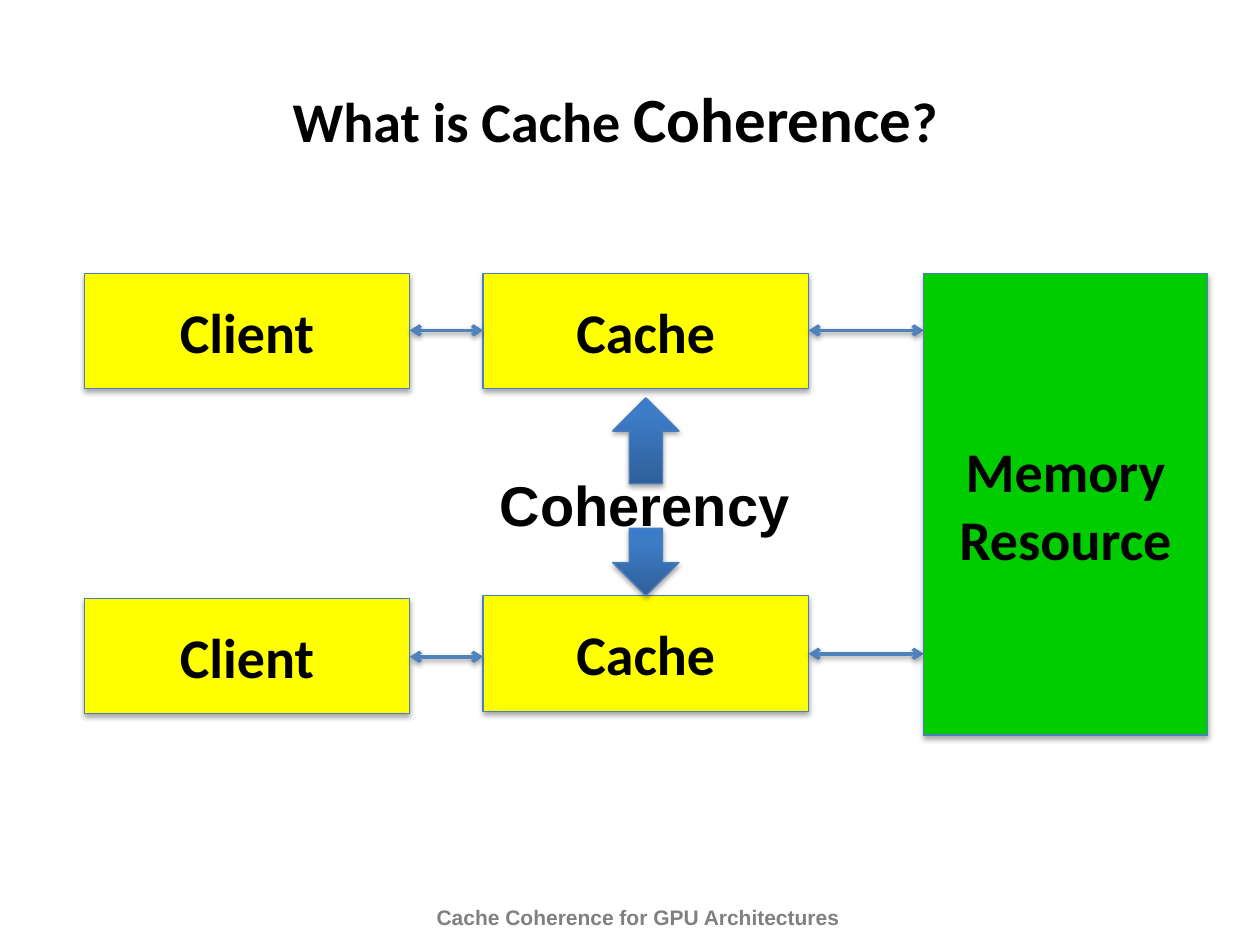
"""Build the cache coherence slide: clients, caches and a shared memory resource."""
import copy

import pptx
import pptx.dml.color
import pptx.enum.shapes
import pptx.enum.text
import pptx.oxml
import pptx.oxml.ns
import pptx.util
from pptx.util import Cm

SHAPES = pptx.enum.shapes.MSO_SHAPE
CENTER = pptx.enum.text.PP_ALIGN.CENTER
LEFT = pptx.enum.text.PP_ALIGN.LEFT
BOX_WIDTH, BOX_HEIGHT = 6.56, 2.33
CLIENT_LEFT, CACHE_LEFT, MEMORY_LEFT = 1.7, 9.74, 18.62
TOP_ROW = 5.51
OUTLINE = "4B7EBC"


def color(hex_value):
    return pptx.dml.color.RGBColor.from_string(hex_value)


def add_shadow(shape, opacity, distance):
    properties = shape._element.spPr
    properties.append(pptx.oxml.parse_xml(
        f'<a:effectLst {pptx.oxml.ns.nsdecls("a")}>'
        f'<a:outerShdw blurRad="{pptx.util.Pt(3.1)}" dist="{pptx.util.Pt(distance)}" '
        'dir="5400000" rotWithShape="0"><a:srgbClr val="000000">'
        f'<a:alpha val="{opacity * 1000}"/></a:srgbClr></a:outerShdw></a:effectLst>'))


def write_lines(frame, lines, font="Calibri", hex_value="000000", align=CENTER):
    """Fill the frame with one paragraph per line, each a list of (text, size) spans."""
    for index, spans in enumerate(lines):
        para = frame.paragraphs[0] if index == 0 else frame.add_paragraph()
        para.alignment = align
        for text, size in spans:
            span = para.add_run()
            span.text = text
            span.font.name = font
            span.font.size = pptx.util.Pt(size)
            span.font.bold = True
            span.font.color.rgb = color(hex_value)


def add_text(page, left, top, width, height, spans, wrap=True, **style):
    box = page.shapes.add_textbox(Cm(left), Cm(top), Cm(width), Cm(height))
    box.text_frame.word_wrap = wrap
    write_lines(box.text_frame, [spans], **style)


def add_outlined(page, kind, left, top, width, height):
    shape = page.shapes.add_shape(kind, Cm(left), Cm(top), Cm(width), Cm(height))
    shape.line.color.rgb = color(OUTLINE)
    shape.line.width = pptx.util.Pt(0.75)
    return shape


def add_box(page, left, top, width, height, words, fill):
    box = add_outlined(page, SHAPES.RECTANGLE, left, top, width, height)
    box.fill.solid()
    box.fill.fore_color.rgb = color(fill)
    add_shadow(box, 35, 1.8)
    box.text_frame.vertical_anchor = pptx.enum.text.MSO_ANCHOR.MIDDLE
    write_lines(box.text_frame, [[(word, 32)] for word in words])


def add_block_arrow(page, kind, top, height):
    width = 1.34
    left = CACHE_LEFT + (BOX_WIDTH - width) / 2
    arrow = add_outlined(page, kind, left, top, width, height)
    arrow.fill.gradient()
    arrow.fill.gradient_angle = 90
    stop_list = arrow._element.spPr.find(".//" + pptx.oxml.ns.qn("a:gsLst"))
    stop_list.insert(1, copy.deepcopy(stop_list[0]))
    shades = [(0, "2F5F99"), (0.8, "3D7CC7"), (1, "3A7CCB")]
    for stop, (position, shade) in zip(arrow.fill.gradient_stops, shades):
        stop.position = position
        stop.color.rgb = color(shade)
    add_shadow(arrow, 35, 1.8)


def add_link(page, start, end, height):
    link = page.shapes.add_connector(
        pptx.enum.shapes.MSO_CONNECTOR.STRAIGHT, Cm(start), Cm(height), Cm(end), Cm(height))
    link.line.color.rgb = color("4F81BD")
    link.line.width = pptx.util.Pt(2)
    outline = link.line._get_or_add_ln()
    for tag in ("headEnd", "tailEnd"):
        outline.append(pptx.oxml.parse_xml(
            f'<a:{tag} {pptx.oxml.ns.nsdecls("a")} type="arrow"/>'))
    add_shadow(link, 38, 1.6)


def main():
    deck = pptx.Presentation()
    deck.slide_width, deck.slide_height = Cm(25.4), Cm(19.05)
    page = deck.slides.add_slide(deck.slide_layouts[6])

    add_text(page, 7.9, 18.11, 9.93, 0.76, [("Cache Coherence for GPU Architectures", 12)],
             font="Arial", hex_value="808080")
    add_text(page, 1.9, 1.47, 21, 1.5, [("What is Cache ", 32), ("Coherence", 36), ("?", 32)])

    rows = [(TOP_ROW, TOP_ROW, 6.66, 6.66), (12.06, 12.01, 13.24, 13.18)]
    for client_top, cache_top, client_link, memory_link in rows:
        add_box(page, CLIENT_LEFT, client_top, BOX_WIDTH, BOX_HEIGHT, ["Client"], "FFFF00")
        add_box(page, CACHE_LEFT, cache_top, BOX_WIDTH, BOX_HEIGHT, ["Cache"], "FFFF00")
        add_link(page, CLIENT_LEFT + BOX_WIDTH, CACHE_LEFT, client_link)
        add_link(page, CACHE_LEFT + BOX_WIDTH, MEMORY_LEFT, memory_link)

    add_text(page, 9.83, 9.37, 6.4, 1.62, [("Coherency", 32)],
             wrap=False, font="Arial", align=LEFT)
    add_block_arrow(page, SHAPES.UP_ARROW, 8.02, 1.73)
    add_block_arrow(page, SHAPES.DOWN_ARROW, 10.65, 1.36)
    add_box(page, MEMORY_LEFT, TOP_ROW, 5.72, 9.31, ["Memory", "Resource"], "00CC00")

    deck.save("out.pptx")


if __name__ == "__main__":
    main()
